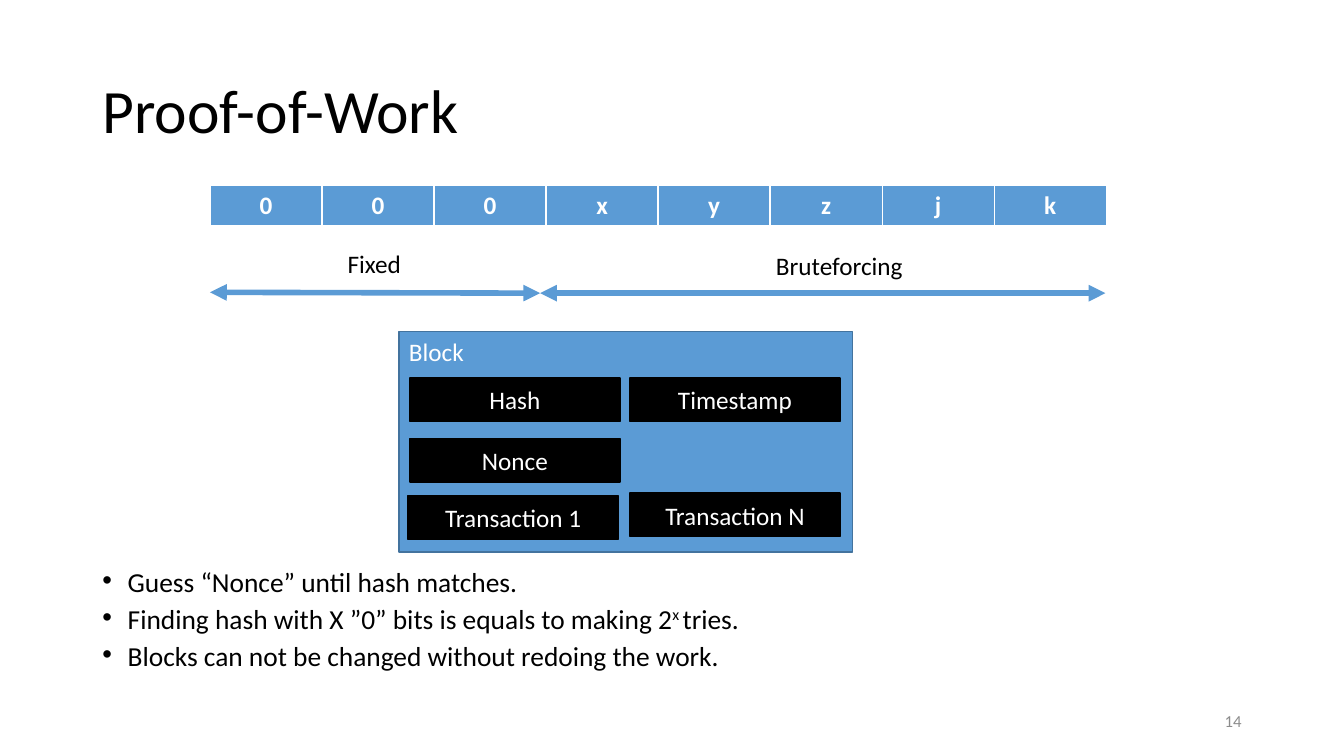
from dataclasses import dataclass
from lxml.etree import SubElement
from pptx import Presentation
from pptx.dml.color import RGBColor
from pptx.enum.shapes import MSO_CONNECTOR, MSO_SHAPE
from pptx.enum.text import MSO_ANCHOR, MSO_AUTO_SIZE, PP_ALIGN
from pptx.oxml.ns import qn
from pptx.util import Inches, Pt


@dataclass(frozen=True)
class Theme:
    face: str = "Calibri"
    blue: str = "5B9BD5"
    edge: str = "43739E"
    dark: str = "000000"
    light: str = "FFFFFF"
    grey: str = "8C8C8C"
    title: float = 44
    list: float = 19.6
    text: float = 18
    foot: float = 12


class Deck:
    cols, rows = 160, 90

    def __init__(self, theme):
        self.theme = theme
        self.file = Presentation()
        self.file.slide_width = Inches(13.33)
        self.file.slide_height = Inches(7.5)
        self.slide = self.file.slides.add_slide(self.file.slide_layouts[1])

    def grid(self, *spots):
        wide = self.file.slide_width / self.cols
        high = self.file.slide_height / self.rows
        return [round(s * (high if i % 2 else wide)) for i, s in enumerate(spots)]

    def style(self, para, size, color, align=PP_ALIGN.LEFT, bold=False):
        para.alignment = align
        font = para.font
        font.name, font.size, font.bold = self.theme.face, Pt(size), bold
        font.color.rgb = RGBColor.from_string(color)

    def move(self, shape, area):
        shape.left, shape.top, shape.width, shape.height = self.grid(*area)
        shape.text_frame.auto_size = MSO_AUTO_SIZE.NONE

    def title(self, text, area):
        shape = self.slide.shapes.title
        self.move(shape, area)
        shape.text_frame.vertical_anchor = MSO_ANCHOR.MIDDLE
        para = shape.text_frame.paragraphs[0]
        para.text, para.line_spacing = text, 0.9
        self.style(para, self.theme.title, self.theme.dark)

    def list(self, items, area):
        shape = self.slide.placeholders[1]
        self.move(shape, area)
        frame = shape.text_frame
        for i, item in enumerate(items):
            para = frame.add_paragraph() if i else frame.paragraphs[0]
            para.line_spacing = 0.7
            para.space_before = Pt(10 if i else 0)
            props = para._p.get_or_add_pPr()
            props.set("marL", str(Inches(0.25)))
            props.set("indent", str(Inches(-0.25)))
            SubElement(props, qn("a:buFont"), typeface="Arial")
            SubElement(props, qn("a:buChar"), char="•")
            self.style(para, self.theme.list, self.theme.dark)
            for j, part in enumerate(item):
                run = para.add_run()
                run.text = part
                if j == 1:
                    run._r.get_or_add_rPr().set("baseline", "30000")

    def label(self, text, area, size, color, align=PP_ALIGN.LEFT, wrap=False):
        frame = self.slide.shapes.add_textbox(*self.grid(*area)).text_frame
        frame.word_wrap = wrap
        frame.vertical_anchor = MSO_ANCHOR.MIDDLE if wrap else MSO_ANCHOR.TOP
        frame.paragraphs[0].text = text
        self.style(frame.paragraphs[0], size, color, align)

    def box(self, text, area, fill, edge, align=PP_ALIGN.CENTER, anchor=MSO_ANCHOR.MIDDLE):
        shape = self.slide.shapes.add_shape(MSO_SHAPE.RECTANGLE, *self.grid(*area))
        shape.shadow.inherit = False
        shape.fill.solid()
        shape.fill.fore_color.rgb = RGBColor.from_string(fill)
        shape.line.color.rgb = RGBColor.from_string(edge)
        shape.line.width = Pt(1)
        frame = shape.text_frame
        frame.vertical_anchor = anchor
        frame.paragraphs[0].text = text
        self.style(frame.paragraphs[0], self.theme.text, self.theme.light, align)

    def arrow(self, *ends):
        line = self.slide.shapes.add_connector(MSO_CONNECTOR.STRAIGHT, *self.grid(*ends))
        line.line.color.rgb = RGBColor.from_string(self.theme.blue)
        line.line.width = Pt(4)
        stroke = line.line._get_or_add_ln()
        for end in ("a:headEnd", "a:tailEnd"):
            SubElement(stroke, qn(end), type="triangle")
        SubElement(line._element.spPr, qn("a:effectLst"))

    def table(self, cells, area):
        table = self.slide.shapes.add_table(1, len(cells), *self.grid(*area)).table
        table.horz_banding = False
        for cell, text in zip(table.rows[0].cells, cells):
            props = cell._tc.get_or_add_tcPr()
            for side, width in zip("LRTB", (1, 1, 1, 3)):
                edge = SubElement(props, qn(f"a:ln{side}"), w=str(Pt(width)))
                paint = SubElement(edge, qn("a:solidFill"))
                SubElement(paint, qn("a:srgbClr"), val=self.theme.light)
            cell.fill.solid()
            cell.fill.fore_color.rgb = RGBColor.from_string(self.theme.blue)
            para = cell.text_frame.paragraphs[0]
            para.text = text
            self.style(para, self.theme.text, self.theme.light, PP_ALIGN.CENTER, True)


def main():
    theme = Theme()
    deck = Deck(theme)
    deck.title("Proof-of-Work", (11, 4.8, 138, 17.4))
    deck.list(
        [
            ["Guess “Nonce” until hash matches."],
            ["Finding hash with X ”0” bits is equals to making 2", "x ", "tries."],
            ["Blocks can not be changed without redoing the work."],
        ],
        (11, 67.7, 138, 13.3),
    )
    deck.label("14", (113, 83.4, 36, 4.8), theme.foot, theme.grey, PP_ALIGN.RIGHT, True)
    deck.table("000xyzjk", (25, 22.1, 106.7, 4.9))

    left, split, right = 25, 64.3, 131.6
    deck.arrow(left, 34.8, split, 34.9)
    deck.label("Fixed", (40.2, 29, 8.9, 4.8), theme.text, theme.dark)
    deck.arrow(split, 34.9, right, 34.9)
    deck.label("Bruteforcing", (91.2, 29.2, 17.6, 4.8), theme.text, theme.dark)

    deck.box("Block", (47.5, 39.5, 54, 26.2), theme.blue, theme.edge,
             PP_ALIGN.LEFT, MSO_ANCHOR.TOP)
    fields = [
        ("Timestamp", 75, 45),
        ("Hash", 48.8, 45),
        ("Nonce", 48.8, 52.2),
        ("Transaction N", 75, 58.7),
        ("Transaction 1", 48.6, 59),
    ]
    for name, col, row in fields:
        deck.box(name, (col, row, 25, 5.2), theme.dark, theme.dark)
    deck.file.save("out.pptx")


if __name__ == "__main__":
    main()
